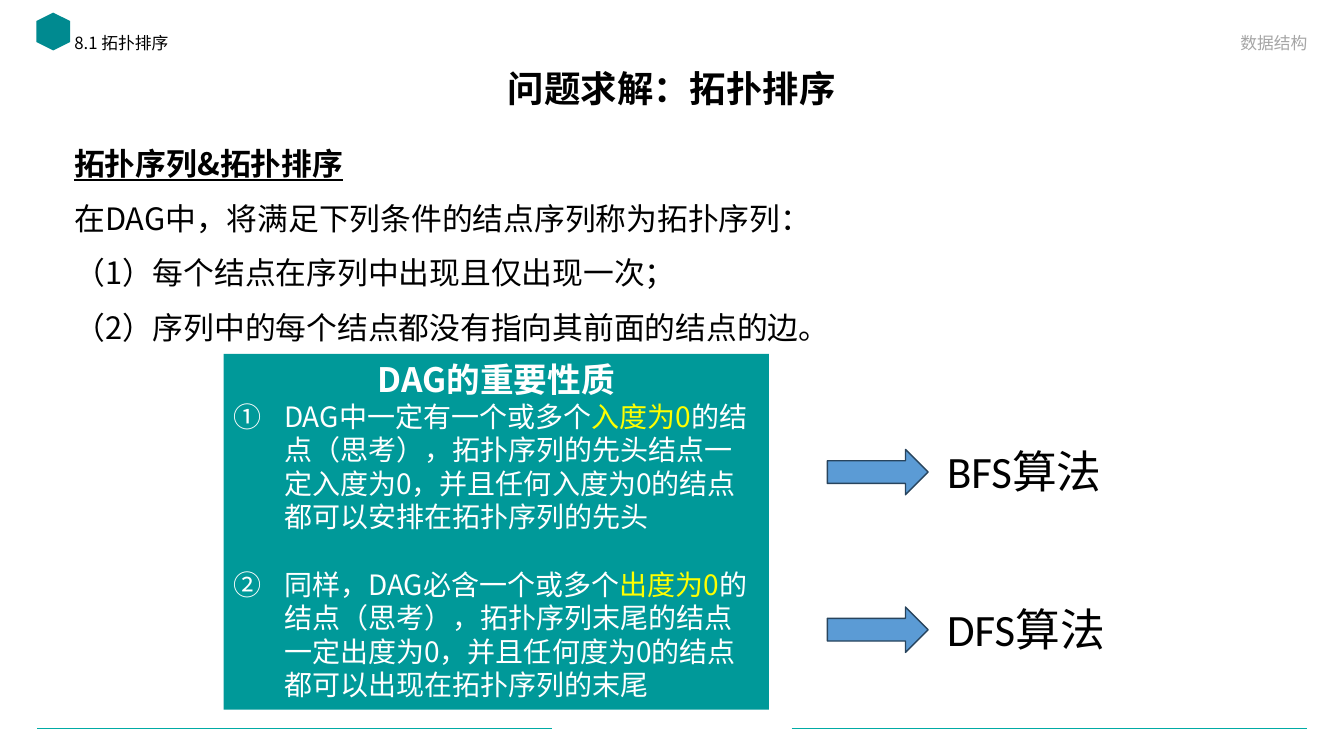
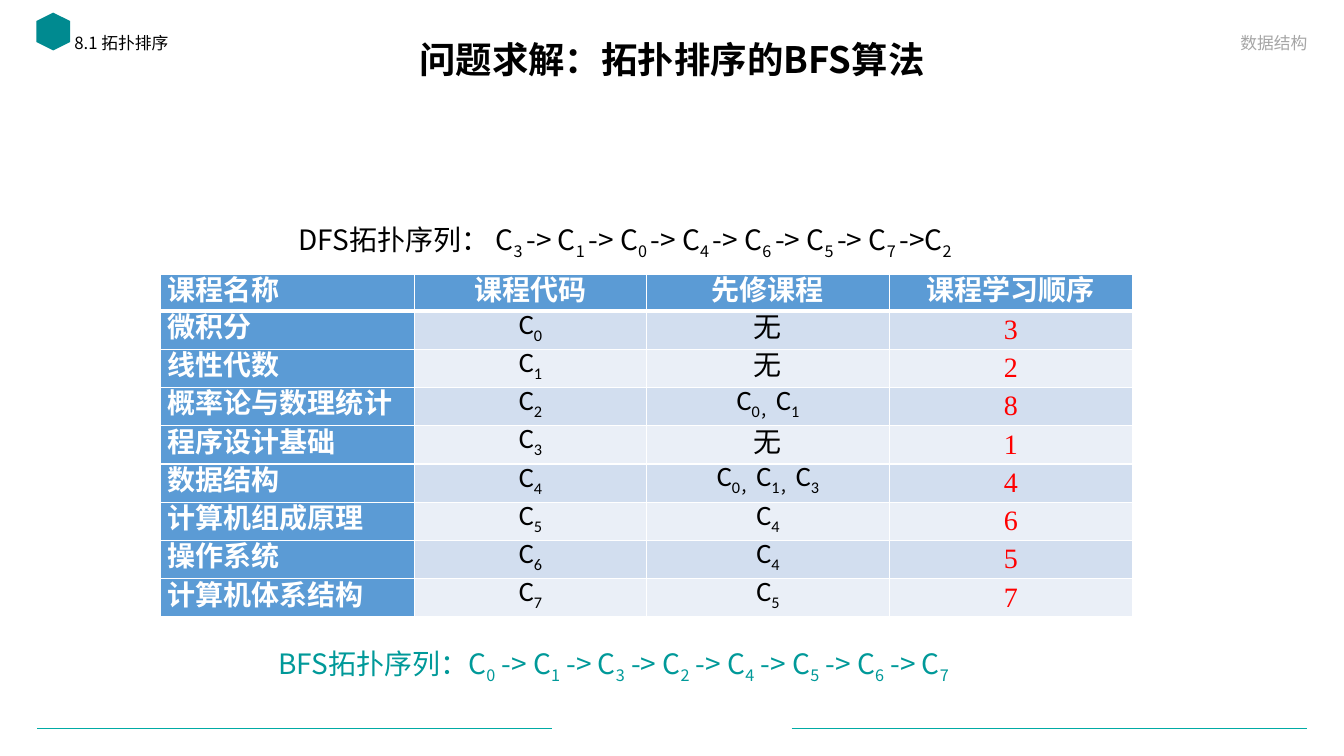
from lxml.etree import SubElement
from pptx import Presentation
from pptx.dml.color import RGBColor
from pptx.enum.shapes import MSO_CONNECTOR, MSO_SHAPE
from pptx.enum.text import MSO_ANCHOR, PP_ALIGN
from pptx.oxml.ns import qn
from pptx.util import Pt

# Shared look
CJK, LATIN, SERIF = "Noto Sans CJK SC", "Calibri", "Times New Roman"
BLACK, WHITE, GREY, RED, YELLOW = "000000", "FFFFFF", "A6A6A6", "FF0000", "FFFF00"
TEAL, RULE_TEAL, MARK_TEAL = "009999", "00ABA5", "008A90"
BLUE, BLUE_EDGE, BANDS = "5B9BD5", "28445D", ("D2DEEF", "EAEFF7")
SUB = "subscript"

# Slide content
CONDITIONS = [
    "在DAG中，将满足下列条件的结点序列称为拓扑序列：",
    "（1）每个结点在序列中出现且仅出现一次；",
    "（2）序列中的每个结点都没有指向其前面的结点的边。",
]
PROPERTIES = [
    "DAG中一定有一个或多个|入度为0|的结点（思考），拓扑序列的先头结点一定入度为0，"
    "并且任何入度为0的结点都可以安排在拓扑序列的先头",
    "同样，DAG必含一个或多个|出度为0|的结点（思考），拓扑序列末尾的结点一定出度为0，"
    "并且任何度为0的结点都可以出现在拓扑序列的末尾",
]
DFS_ORDER = "DFS拓扑序列： C|3 |-> C|1 |-> C|0 |-> C|4 |-> C|6 |-> C|5 |-> C|7 |->C|2"
BFS_ORDER = "BFS拓扑序列：" + " -> ".join(f"C|{i}|" for i in (0, 1, 3, 2, 4, 5, 6, 7))
HEADERS = ["课程名称", "课程代码", "先修课程", "课程学习顺序"]
COURSES = [  # name, prerequisites, study order
    ("微积分", "无", 3),
    ("线性代数", "无", 2),
    ("概率论与数理统计", "C|0，|C|1", 8),
    ("程序设计基础", "无", 1),
    ("数据结构", "C|0，|C|1，|C|3", 4),
    ("计算机组成原理", "C|4", 6),
    ("操作系统", "C|4", 5),
    ("计算机体系结构", "C|5", 7),
]


def rgb(value):
    return RGBColor.from_string(value)


def write(p, text, size, color=BLACK, font=CJK, bold=False, underline=False, mark=SUB):
    """Add runs; parts between bars are subscript or take the mark colour."""
    for i, part in enumerate(text.split("|")):
        if not part:
            continue
        marked = i % 2 == 1
        r = p.add_run()
        r.text = part
        f = r.font
        f.name, f.size, f.bold, f.underline = font, Pt(size), bold, underline
        f.color.rgb = rgb(mark if marked and mark != SUB else color)
        rPr = r._r.get_or_add_rPr()
        if marked and mark == SUB:
            rPr.set("baseline", "-25000")
        SubElement(rPr, qn("a:ea")).set("typeface", CJK)


def add_text(s, x, y, w, h, text, size, align=PP_ALIGN.LEFT,
             anchor=MSO_ANCHOR.TOP, spacing=1.0, **style):
    tf = s.shapes.add_textbox(Pt(x), Pt(y), Pt(w), Pt(h)).text_frame
    tf.word_wrap = True
    tf.vertical_anchor = anchor
    p = tf.paragraphs[0]
    p.alignment, p.line_spacing = align, spacing
    write(p, text, size, **style)
    return tf


def add_block(s, kind, x, y, w, h, fill, line=None):
    sp = s.shapes.add_shape(kind, Pt(x), Pt(y), Pt(w), Pt(h))
    sp.shadow.inherit = False
    sp.fill.solid()
    sp.fill.fore_color.rgb = rgb(fill)
    if line:
        sp.line.color.rgb = rgb(line)
        sp.line.width = Pt(1)
    else:
        sp.line.fill.background()
    return sp


def add_rule(s, x, y, w):
    c = s.shapes.add_connector(MSO_CONNECTOR.STRAIGHT, Pt(x), Pt(y), Pt(x + w), Pt(y))
    c.line.color.rgb = rgb(RULE_TEAL)
    c.line.width = Pt(0.5)
    SubElement(c._element.spPr, qn("a:effectLst"))


def new_slide(prs, title, title_y):
    """Blank slide with footer rules, corner mark, section labels and title."""
    s = prs.slides.add_slide(prs.slide_layouts[6])
    for x in (26.6, 565.4):
        add_rule(s, x, 520, 368)
    # The turned mark ends left of the section label
    add_block(s, MSO_SHAPE.HEXAGON, 24.5, 10.5, 27, 24, MARK_TEAL).rotation = 90
    add_text(s, 66, title_y, 828, 41, title, 26, PP_ALIGN.CENTER,
             MSO_ANCHOR.MIDDLE, 0.9, bold=True)
    add_text(s, 46, 21.6, 383, 26, "8.1 拓扑排序", 12, spacing=0.9)
    add_text(s, 535, 15.8, 406, 25.2, "数据结构", 12, PP_ALIGN.RIGHT,
             MSO_ANCHOR.BOTTOM, color=GREY)
    return s


def number_item(p, indent):
    pPr = p._p.get_or_add_pPr()
    pPr.set("marL", str(Pt(indent)))
    pPr.set("indent", str(-Pt(indent)))
    SubElement(pPr, qn("a:buFont")).set("typeface", "+mj-ea")
    SubElement(pPr, qn("a:buAutoNum")).set("type", "circleNumDbPlain")


def add_properties(s):
    sp = add_block(s, MSO_SHAPE.RECTANGLE, 159.8, 252.7, 389.5, 254.2, TEAL)
    tf = sp.text_frame
    tf.word_wrap = True
    tf.vertical_anchor = MSO_ANCHOR.TOP
    p = tf.paragraphs[0]
    p.alignment = PP_ALIGN.CENTER
    write(p, "DAG的重要性质", 24, WHITE, bold=True)
    for i, text in enumerate(PROPERTIES):
        p = tf.add_paragraph()
        p.alignment = PP_ALIGN.LEFT
        p.space_before = Pt(24 * i)
        number_item(p, 36)
        write(p, text, 20, WHITE, mark=YELLOW)


def set_borders(cell, top, bottom):
    tcPr = cell._tc.get_or_add_tcPr()
    for side, width in (("L", 1), ("R", 1), ("T", top), ("B", bottom)):
        ln = SubElement(tcPr, qn(f"a:ln{side}"), w=str(Pt(width)))
        SubElement(SubElement(ln, qn("a:solidFill")), qn("a:srgbClr")).set("val", WHITE)


def fill_cell(cell, text, fill, align, top, bottom, **style):
    set_borders(cell, top, bottom)
    cell.fill.solid()
    cell.fill.fore_color.rgb = rgb(fill)
    cell.margin_left = cell.margin_right = Pt(5)
    cell.margin_top = cell.margin_bottom = 0
    cell.vertical_anchor = MSO_ANCHOR.MIDDLE
    p = cell.text_frame.paragraphs[0]
    p.alignment, p.line_spacing = align, Pt(22)
    write(p, text, 20, **style)


def add_courses(s):
    widths = [181.4, 165.6, 173.5, 173.5]
    heights = [26.2] + [27.3] * len(COURSES)
    rows = [HEADERS] + [(name, f"C|{i}", needs, str(order))
                        for i, (name, needs, order) in enumerate(COURSES)]
    table = s.shapes.add_table(len(rows), len(widths), Pt(114.8), Pt(196),
                               Pt(sum(widths)), Pt(sum(heights))).table
    for column, w in zip(table.columns, widths):
        column.width = Pt(w)
    for i, (row, h) in enumerate(zip(rows, heights)):
        table.rows[i].height = Pt(h)
        for j, text in enumerate(row):
            head = i == 0 or j == 0
            last = j == len(widths) - 1
            fill_cell(
                table.cell(i, j), text,
                fill=BLUE if head else BANDS[(i - 1) % 2],
                align=PP_ALIGN.JUSTIFY if j == 0 else PP_ALIGN.CENTER,
                top=3 if i == 1 else 1, bottom=3 if i == 0 else 1,
                color=WHITE if head else RED if last else BLACK,
                font=SERIF if last else LATIN, bold=head)


def build_definition(prs):
    s = new_slide(prs, "问题求解：拓扑排序", 44.6)
    tf = add_text(s, 46, 97.2, 870, 398, "拓扑序列&拓扑排序", 22,
                  spacing=1.1, bold=True, underline=True)
    for text in CONDITIONS:
        p = tf.add_paragraph()
        p.line_spacing, p.space_before = 1.1, Pt(10)
        write(p, text, 22)
    add_properties(s)
    for y, label in ((321, "BFS算法"), (433.6, "DFS算法")):
        add_text(s, 669.4, y - 7.6, 127, 46, label, 32, font=LATIN)
        add_block(s, MSO_SHAPE.RIGHT_ARROW, 591, y, 72, 32.4, BLUE, BLUE_EDGE)


def build_orders(prs):
    s = new_slide(prs, "问题求解：拓扑排序的BFS算法", 23.8)
    add_text(s, 191.5, 458, 575, 31.5, BFS_ORDER, 20, color=TEAL)
    add_courses(s)
    add_text(s, 206, 155.5, 561, 31.5, DFS_ORDER, 20)


def main():
    prs = Presentation()
    prs.slide_width, prs.slide_height = Pt(960), Pt(540)
    build_definition(prs)
    build_orders(prs)
    prs.save("out.pptx")


if __name__ == "__main__":
    main()
